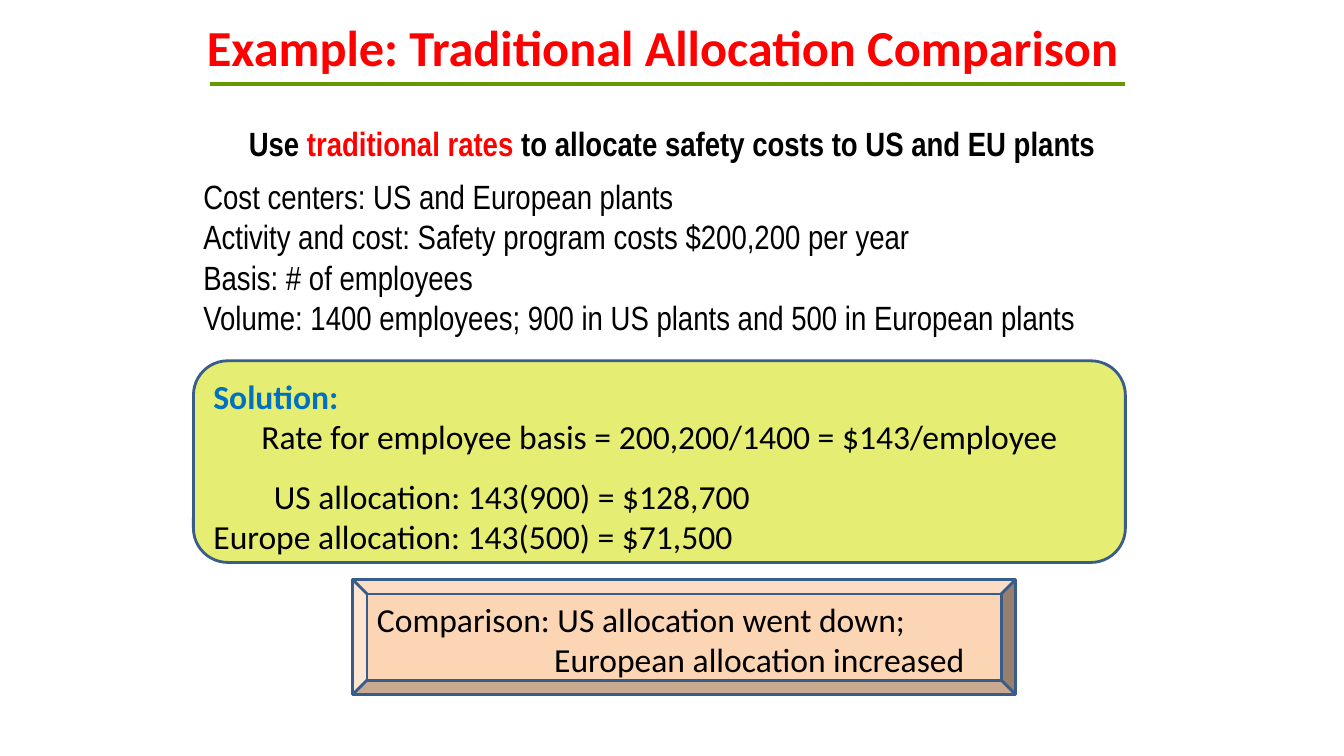
from dataclasses import dataclass

import pptx
import pptx.dml.color
import pptx.enum.shapes
import pptx.enum.text
import pptx.oxml
import pptx.oxml.ns
import pptx.util
from pptx.util import Inches

ALIGN = pptx.enum.text.PP_ALIGN
SHAPE = pptx.enum.shapes.MSO_SHAPE


# Theme
@dataclass(frozen=True)
class Theme:
    red: str = "FF0000"
    black: str = "000000"
    blue: str = "0070C0"
    green: str = "669900"
    lime: str = "E5EE72"
    peach: str = "FCD5B5"
    outline: str = "385D8A"
    heading_font: str = "Calibri"
    facts_font: str = "Arial Narrow"
    title_size: int = 36
    body_size: int = 24
    rule_width: int = 3
    outline_width: int = 2


THEME = Theme()


@dataclass(frozen=True)
class Run:
    text: str
    color: str = THEME.black
    bold: bool = False


@dataclass(frozen=True)
class Line:
    runs: tuple[Run, ...]
    align: ALIGN = ALIGN.LEFT
    indent: float = 0
    space_before: int = 0


@dataclass(frozen=True)
class Panel:
    kind: SHAPE
    box: tuple[float, float, float, float]
    adjustment: float
    fill: str
    lines: tuple[Line, ...]


def rgb(color: str) -> pptx.dml.color.RGBColor:
    return pptx.dml.color.RGBColor.from_string(color)


def write_lines(frame, lines: tuple[Line, ...], font: str, size: int,
                anchor=pptx.enum.text.MSO_ANCHOR.TOP) -> None:
    frame.word_wrap = True
    frame.auto_size = pptx.enum.text.MSO_AUTO_SIZE.NONE
    frame.vertical_anchor = anchor
    for index, line in enumerate(lines):
        paragraph = frame.add_paragraph() if index else frame.paragraphs[0]
        paragraph.alignment = line.align
        if line.indent:
            properties = paragraph._p.get_or_add_pPr()
            properties.set("marL", str(Inches(line.indent)))
            properties.set("indent", "0")
        if line.space_before:
            paragraph.space_before = pptx.util.Pt(line.space_before)
        for part in line.runs:
            run = paragraph.add_run()
            run.text = part.text
            run.font.name = font
            run.font.size = pptx.util.Pt(size)
            run.font.bold = part.bold
            run.font.color.rgb = rgb(part.color)


def add_title(slide, text: str) -> None:
    title = slide.shapes.title
    title.left, title.top = Inches(1.83), Inches(0.17)
    title.width, title.height = Inches(9.5), Inches(0.58)
    write_lines(title.text_frame,
                (Line((Run(text, THEME.red, True),), ALIGN.CENTER),),
                THEME.heading_font, THEME.title_size,
                pptx.enum.text.MSO_ANCHOR.MIDDLE)


def add_title_rule(slide) -> None:
    rule = slide.shapes.add_connector(
        pptx.enum.shapes.MSO_CONNECTOR.STRAIGHT,
        Inches(2.08), Inches(0.83), Inches(11.17), Inches(0.83))
    rule.line.color.rgb = rgb(THEME.green)
    rule.line.width = pptx.util.Pt(THEME.rule_width)
    rule._element.spPr.append(
        pptx.oxml.parse_xml(f"<a:effectLst {pptx.oxml.ns.nsdecls('a')}/>"))


def add_panel(slide, panel: Panel) -> None:
    shape = slide.shapes.add_shape(panel.kind, *map(Inches, panel.box))
    shape.adjustments[0] = panel.adjustment
    shape.shadow.inherit = False
    shape.fill.solid()
    shape.fill.fore_color.rgb = rgb(panel.fill)
    shape.line.color.rgb = rgb(THEME.outline)
    shape.line.width = pptx.util.Pt(THEME.outline_width)
    write_lines(shape.text_frame, panel.lines, THEME.heading_font, THEME.body_size)


# Content
FACTS = (
    Line((Run("Use ", bold=True),
          Run("traditional rates ", THEME.red, True),
          Run("to allocate safety costs to US and EU plants", bold=True)),
         ALIGN.CENTER),
    Line((Run("Cost centers: US and European plants"),), space_before=9),
    Line((Run("Activity and cost: Safety program costs $200,200 per year"),)),
    Line((Run("Basis: # of employees"),)),
    Line((Run("Volume: 1400 employees; 900 in US plants and 500 in European plants"),)),
)

SOLUTION = Panel(SHAPE.ROUNDED_RECTANGLE, (1.92, 3.58, 9.25, 2), 0.17, THEME.lime, (
    Line((Run("Solution:", THEME.blue, True),)),
    Line((Run("Rate for employee basis = 200,200/1400 = $143/employee"),), ALIGN.CENTER),
    Line((Run("US allocation: 143(900) = $128,700"),), indent=0.6, space_before=14),
    Line((Run("Europe allocation: 143(500) = $71,500"),)),
))

COMPARISON = Panel(SHAPE.BEVEL, (3.5, 5.75, 6.58, 1.14), 0.125, THEME.peach, (
    Line((Run("Comparison: US allocation went down;"),)),
    Line((Run("European allocation increased"),), indent=1.76),
))


def main() -> None:
    deck = pptx.Presentation()
    deck.slide_width, deck.slide_height = Inches(13.34), Inches(7.5)
    slide = deck.slides.add_slide(deck.slide_layouts.get_by_name("Title Only"))

    # Heading
    add_title(slide, "Example: Traditional Allocation Comparison")
    add_title_rule(slide)

    # Worked example
    add_panel(slide, SOLUTION)
    facts = slide.shapes.add_textbox(Inches(1.92), Inches(1.17), Inches(9.5), Inches(2.42))
    write_lines(facts.text_frame, FACTS, THEME.facts_font, THEME.body_size)
    add_panel(slide, COMPARISON)

    deck.save("out.pptx")


if __name__ == "__main__":
    main()
